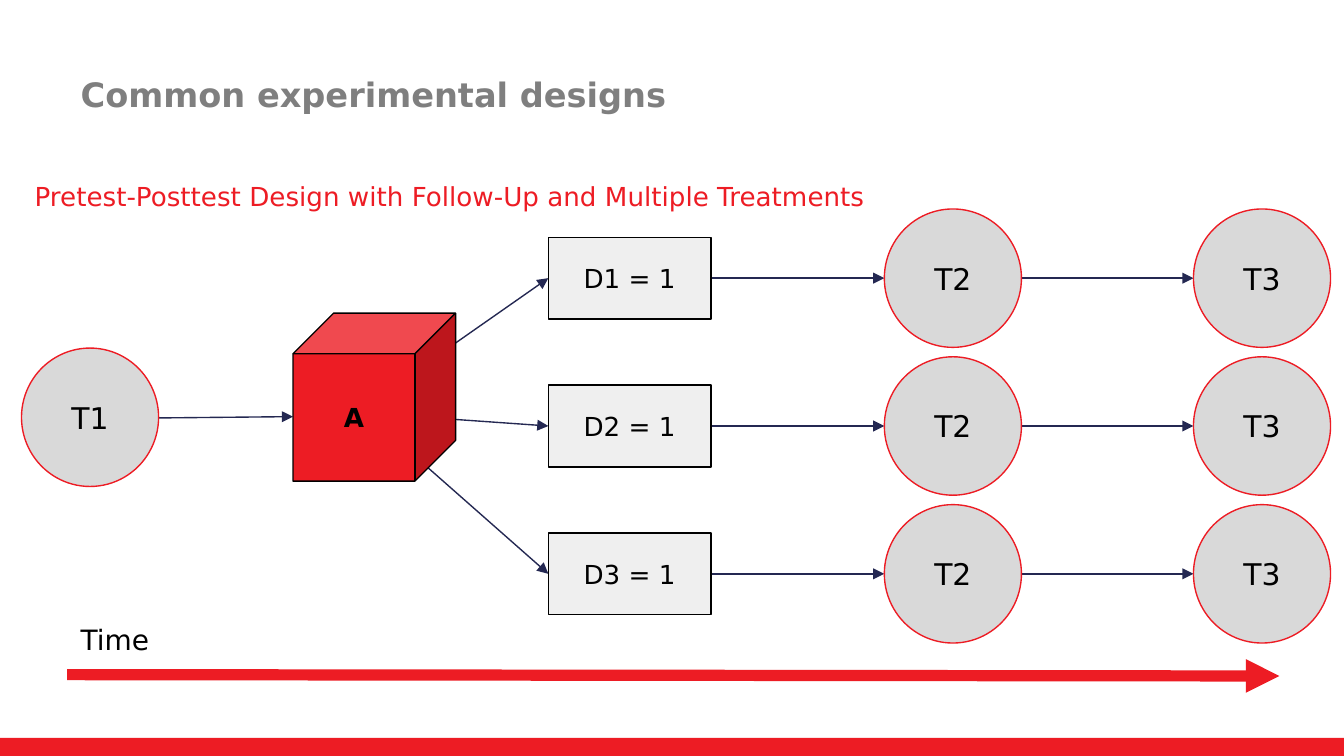
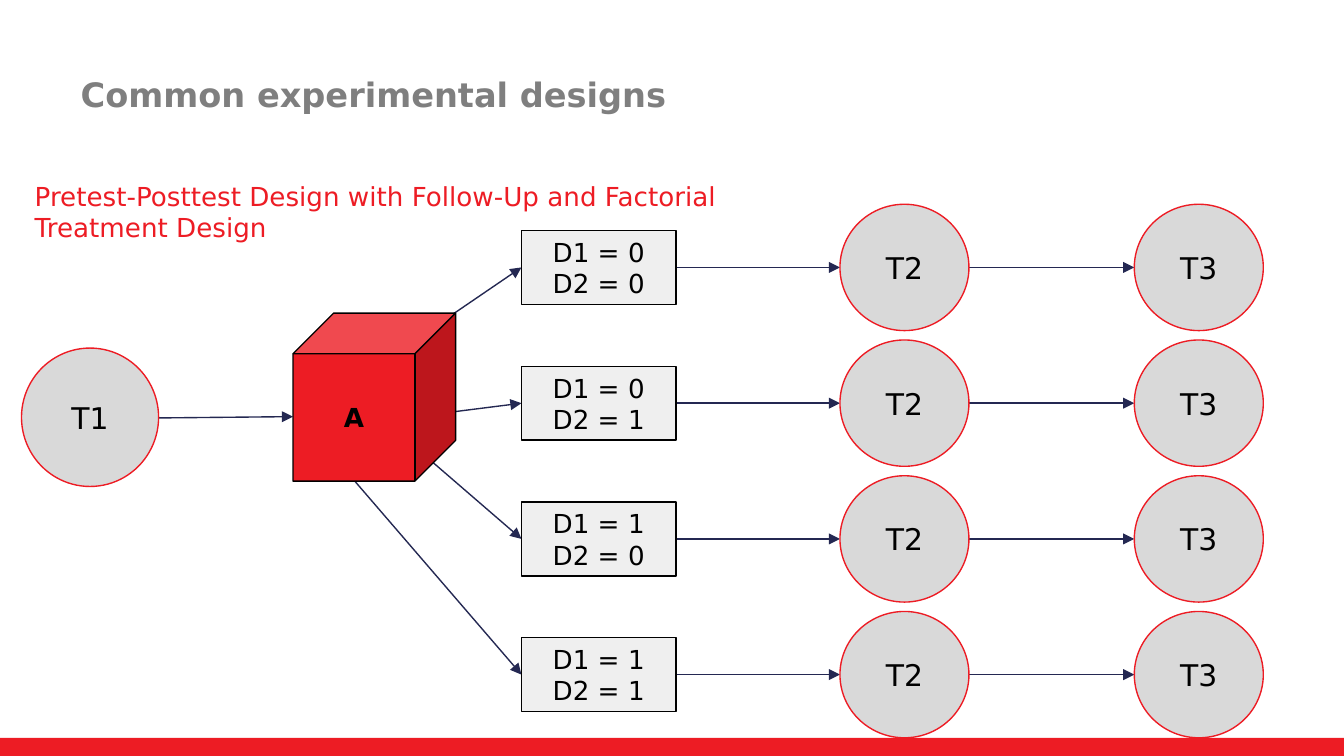
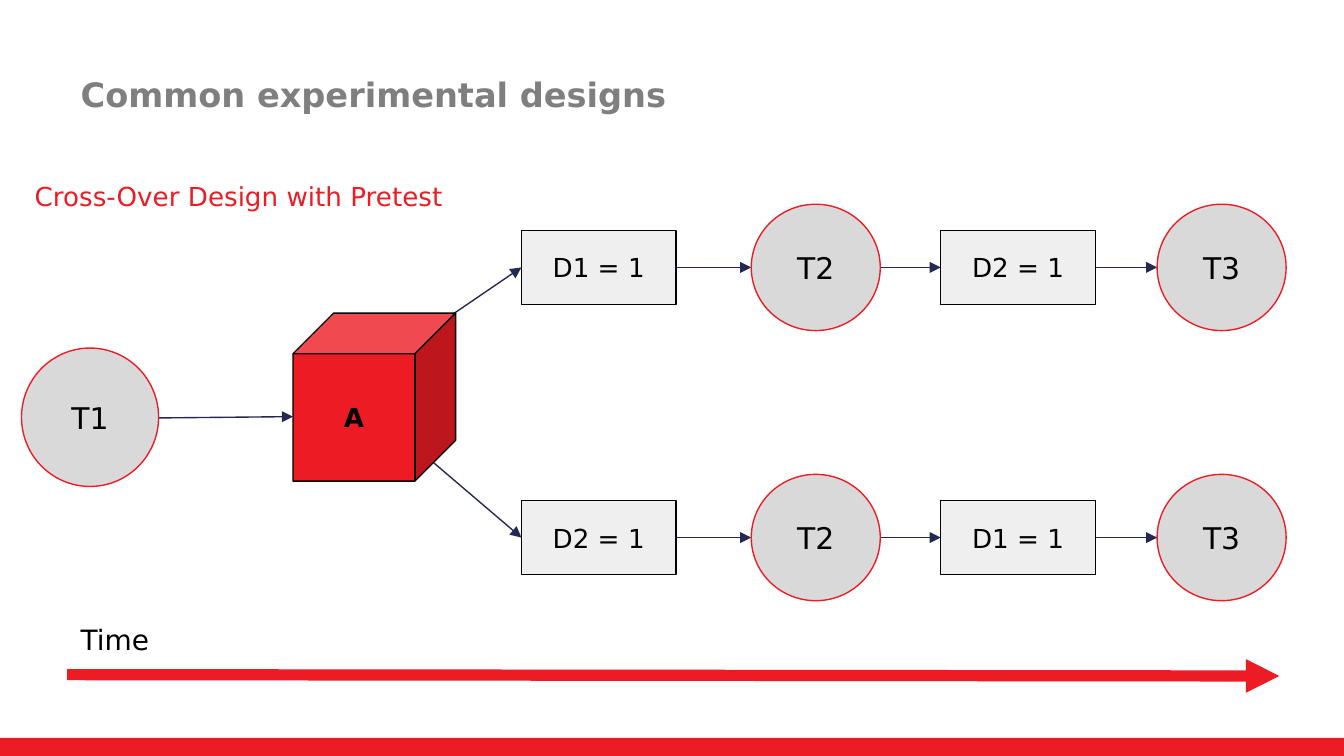
from lxml.etree import SubElement
from pptx import Presentation
from pptx.dml.color import RGBColor
from pptx.enum.shapes import MSO_CONNECTOR as Connector, MSO_SHAPE as Preset
from pptx.enum.text import MSO_ANCHOR as Anchor, MSO_AUTO_SIZE as AutoSize, PP_ALIGN as Align
from pptx.oxml.ns import qn
from pptx.util import Inches, Pt

COLORS = {
    "red": "ED1C24", "navy": "242852", "black": "000000",
    "title": "7F7F7F", "circle": "D9D9D9", "box": "EFEFEF",
}
FONT = "DejaVu Sans"

# Text formats: font values, paragraph values, frame values
INSET = {"margin_" + side: Inches(0.1) for side in ("left", "top", "right", "bottom")}
SLIM = {**INSET, "margin_top": Inches(0.05), "margin_bottom": Inches(0.05),
        "auto_size": AutoSize.NONE, "word_wrap": True}
CENTERED = {"alignment": Align.CENTER}
LEFT = {"alignment": Align.LEFT}
MIDDLE = {**INSET, "vertical_anchor": Anchor.MIDDLE, "word_wrap": True}
LOOKS = {
    "title": ("title", {"size": Pt(18), "bold": True}, LEFT,
              {**SLIM, "vertical_anchor": Anchor.MIDDLE}),
    "time": ("black", {"size": Pt(15)}, {**LEFT, "space_before": Pt(3.6)},
             {**SLIM, "vertical_anchor": Anchor.TOP}),
    "subtitle": ("red", {"size": Pt(14)}, LEFT,
                 {**INSET, "word_wrap": True, "auto_size": AutoSize.SHAPE_TO_FIT_TEXT}),
    "circle": ("black", {"size": Pt(16)}, CENTERED, MIDDLE),
    "box": ("black", {"size": Pt(14)}, CENTERED, MIDDLE),
    "cube": ("black", {"size": Pt(14), "bold": True}, CENTERED, MIDDLE),
}

# Node kinds: preset, fill, line
KINDS = {
    "circle": (Preset.OVAL, "circle", "red"),
    "box": (Preset.RECTANGLE, "box", "black"),
    "cube": (Preset.CUBE, "red", "black"),
}

# Each row: where its arm leaves the cube, then the labels of its nodes
DESIGNS = [
    {
        "subtitle": "Pretest-Posttest Design with Follow-Up and Multiple Treatments",
        "subtitle_size": (7.36, 0.44),
        "sizes": {"box": (1.21, 0.61), "circle": (1.02, 1.03)},
        "columns": [4.08, 6.58, 8.88],
        "first_row": 2.07, "row_step": 1.1, "timeline": True,
        "rows": [
            ((3.15, 2.72), ["D1 = 1", "T2", "T3"]),
            ((3.09, 3.1), ["D2 = 1", "T2", "T3"]),
            ((3.15, 3.45), ["D3 = 1", "T2", "T3"]),
        ],
    },
    {
        "subtitle": "Pretest-Posttest Design with Follow-Up and Factorial\nTreatment Design",
        "subtitle_size": (6.99, 0.67),
        "sizes": {"box": (1.15, 0.55), "circle": (0.96, 0.94)},
        "columns": [3.88, 6.25, 8.44],
        "first_row": 1.99, "row_step": 1.01, "timeline": False,
        "rows": [
            ((3, 2.59), ["D1 = 0\nD2 = 0", "T2", "T3"]),
            ((3.09, 3.1), ["D1 = 0\nD2 = 1", "T2", "T3"]),
            ((3, 3.25), ["D1 = 1\nD2 = 0", "T2", "T3"]),
            ((2.64, 3.58), ["D1 = 1\nD2 = 1", "T2", "T3"]),
        ],
    },
    {
        "subtitle": "Cross-Over Design with Pretest",
        "subtitle_size": (6.99, 0.44),
        "sizes": {"box": (1.15, 0.55), "circle": (0.96, 0.94)},
        "columns": [3.88, 5.59, 7, 8.61],
        "first_row": 1.99, "row_step": 2.01, "timeline": True,
        "rows": [
            ((3, 2.59), ["D1 = 1", "T2", "D2 = 1", "T3"]),
            ((3, 3.25), ["D2 = 1", "T2", "D1 = 1", "T3"]),
        ],
    },
]


def write_text(shape, text, look):
    color, font_values, para_values, frame_values = LOOKS[look]
    frame = shape.text_frame
    frame.text = text
    for name, value in frame_values.items():
        setattr(frame, name, value)
    for para in frame.paragraphs:
        for name, value in para_values.items():
            setattr(para, name, value)
        for span in para.runs:
            span.font.name = FONT
            span.font.color.rgb = RGBColor.from_string(COLORS[color])
            for name, value in font_values.items():
                setattr(span.font, name, value)


def place(shape, left, top, width, height):
    values = {"left": left, "top": top, "width": width, "height": height}
    for name, value in values.items():
        setattr(shape, name, Inches(value))


deck = Presentation()
deck.slide_width, deck.slide_height = Inches(10), Inches(5.625)
title_and_body, title_only = deck.slide_layouts[1], deck.slide_layouts[5]

for number, design in enumerate(DESIGNS):
    page = deck.slides.add_slide(title_and_body if design["timeline"] else title_only)
    shapes = page.shapes

    # Red band at the foot, kept on the master for all slides
    if number == 0:
        band = shapes.add_shape(Preset.RECTANGLE, 0, Inches(5.49), Inches(10), Inches(0.14))
        band.shadow.inherit = False
        band.fill.solid()
        band.fill.fore_color.rgb = RGBColor.from_string(COLORS["red"])
        band.line.fill.background()
        deck.slide_master.shapes.element.insert(2, band.element)

    # Title and subtitle
    place(shapes.title, 0.5, 0.23, 7.65, 0.94)
    write_text(shapes.title, "Common experimental designs", "title")
    width, height = design["subtitle_size"]
    subtitle = shapes.add_textbox(Inches(0.16), Inches(1.24), Inches(width), Inches(height))
    write_text(subtitle, design["subtitle"], "subtitle")

    # Pretest and assignment, then the nodes of each row
    nodes = [("circle", "T1", 0.16, 2.59, 1.02, 1.03, None),
             ("cube", "A", 2.18, 2.33, 1.21, 1.25, None)]
    for row, (arm_start, labels) in enumerate(design["rows"]):
        middle = design["first_row"] + row * design["row_step"]
        start = arm_start
        for left, label in zip(design["columns"], labels):
            kind = "circle" if label.startswith("T") else "box"
            width, height = design["sizes"][kind]
            link = (start, (left, middle))
            nodes.append((kind, label, left, middle - height / 2, width, height, link))
            start = (left + width, middle)

    # Arrows as start, end, colour, width, source box, target box
    arrows = [((1.17, 3.11), (2.18, 3.1), "navy", 0.75, None, None)]
    previous = None
    for kind, label, left, top, width, height, link in nodes:
        preset, fill, line = KINDS[kind]
        node = shapes.add_shape(preset, Inches(left), Inches(top), Inches(width), Inches(height))
        node.shadow.inherit = False
        node.fill.solid()
        node.fill.fore_color.rgb = RGBColor.from_string(COLORS[fill])
        node.line.color.rgb = RGBColor.from_string(COLORS[line])
        node.line.width = Pt(0.75)
        write_text(node, label, kind)
        box = node if kind == "box" else None
        if link:
            source = previous if link[0][0] > design["columns"][0] else None
            arrows.append((*link, "navy", 0.75, source, box))
        previous = box

    # Time axis
    if design["timeline"]:
        time_label = page.placeholders[1]
        place(time_label, 0.5, 4.58, 9, 0.45)
        write_text(time_label, "Time", "time")
        properties = time_label.text_frame.paragraphs[0]._p.get_or_add_pPr()
        properties.set("marL", "0")
        properties.set("indent", "0")
        SubElement(properties, qn("a:buNone"))
        arrows.append(((0.5, 5.02), (9.52, 5.03), "red", 6, None, None))

    # Arrows lie behind the nodes
    for start, end, color, weight, source, target in arrows:
        arrow = shapes.add_connector(Connector.STRAIGHT, *map(Inches, start + end))
        if source:
            arrow.begin_connect(source, 3)
        if target:
            arrow.end_connect(target, 1)
        arrow.line.color.rgb = RGBColor.from_string(COLORS[color])
        arrow.line.width = Pt(weight)
        SubElement(arrow.line._get_or_add_ln(), qn("a:tailEnd"), type="triangle")
        SubElement(arrow.element.spPr, qn("a:effectLst"))
        shapes.element.insert(2, arrow.element)

deck.save("out.pptx")
